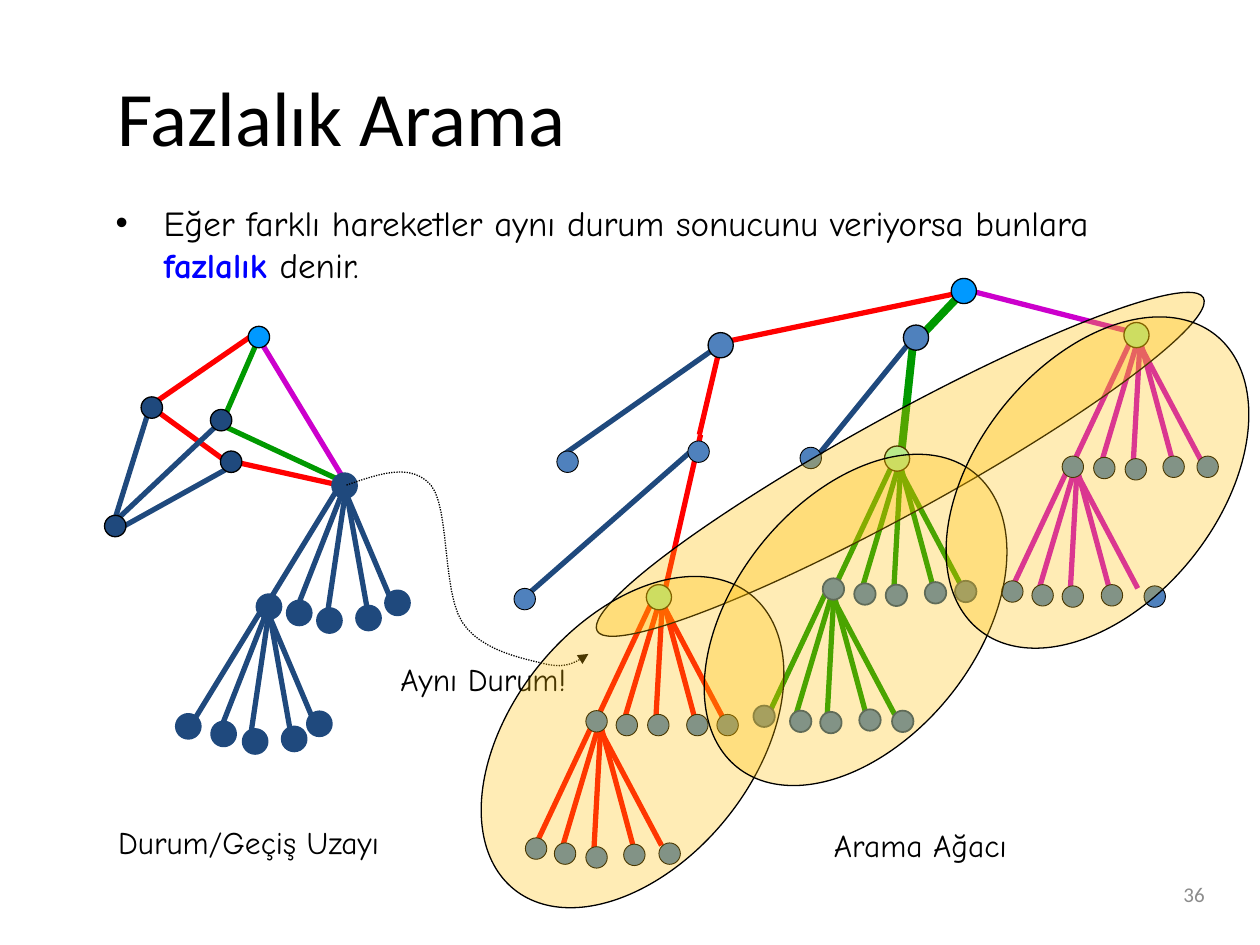
from lxml import etree
from pptx import Presentation
from pptx import util as u
from pptx.dml import color as col
from pptx.enum import dml, shapes, text
from pptx.oxml import ns

NAVY, BLUE, SKY, MINT = "1F497D", "4F81BD", "0099FF", "99FFCC"
RED, GREEN, PINK, BLACK = "FF0000", "009900", "CC00CC", "000000"
HAND = "Comic Neue"

TREE = [(0.05, 0.02, -0.01, 1.1), (0.04, 0.02, -0.27, 1.06), (0, 0, -0.48, 1.02),
        (0, 0, 0.53, 1), (0.04, 0.02, 0.32, 1.06)]
STATE = [(0.06, 0.02, -0.1, 1.1), (0.05, 0.02, -0.35, 1.04), (0.02, 0, -0.58, 0.98),
         (0.02, 0, 0.46, 1.04), (0.05, 0.02, 0.24, 1.09)]

FANS = [(9, 2.65, PINK, TREE), (8.5, 3.67, PINK, TREE), (7.1, 3.65, GREEN, TREE),
        (6.57, 4.67, GREEN, TREE), (5.21, 4.7, RED, TREE), (4.72, 5.71, RED, TREE),
        (2.69, 3.83, NAVY, STATE), (2.08, 4.8, NAVY, STATE)]

EDGES = [
    (RED, 3, [(5.56, 3.45, 5.27, 4.72), (2.02, 2.65, 1.25, 3.18), (1.2, 3.23, 1.82, 3.68),
              (2.78, 3.87, 1.88, 3.67), (7.73, 2.3, 5.72, 2.72), (5.55, 3.45, 5.72, 2.73)]),
    (GREEN, 4.5, [(7.61, 2.35, 7.24, 2.74), (7.26, 2.6, 7.15, 3.63)]),
    (GREEN, 3, [(1.73, 3.36, 2.76, 3.84), (2.06, 2.67, 1.79, 3.29)]),
    (PINK, 3, [(7.67, 2.3, 9.08, 2.66), (2.05, 2.68, 2.77, 3.87)]),
    (NAVY, 3, [(7.25, 2.68, 6.43, 3.69), (1.19, 3.23, 0.89, 4.19), (1.84, 3.7, 0.94, 4.2),
               (1.76, 3.34, 0.89, 4.16), (5.52, 3.55, 4.14, 4.76), (5.71, 2.74, 4.47, 3.61)]),
]

NODES = [
    (0.17, BLUE, BLACK, 0.5, [
        (9.5, 3.62), (9.23, 3.62), (8.93, 3.64), (8.68, 3.63), (8.43, 3.62),
        (9.08, 4.65), (8.74, 4.64), (8.43, 4.65), (8.19, 4.64), (7.95, 4.61),
        (5.69, 5.67), (5.45, 5.67), (5.14, 5.67), (4.89, 5.67), (4.65, 5.64),
        (5.23, 6.69), (4.95, 6.7), (4.65, 6.72), (4.4, 6.69), (4.17, 6.65),
        (6.35, 3.55), (4.08, 4.67), (4.42, 3.58), (5.46, 3.5)]),
    (0.17, BLUE, NAVY, 1, [
        (7.58, 4.61), (7.34, 4.62), (7.03, 4.64), (6.78, 4.63), (6.53, 4.59),
        (7.08, 5.64), (6.82, 5.63), (6.51, 5.65), (6.27, 5.64), (5.98, 5.6)]),
    (0.17, NAVY, NAVY, 3, [
        (3.07, 4.7), (2.84, 4.82), (2.53, 4.84), (2.29, 4.78), (2.05, 4.73),
        (2.45, 5.66), (2.25, 5.78), (1.94, 5.8), (1.69, 5.74), (1.41, 5.68), (2.65, 3.77)]),
    (0.17, NAVY, BLACK, 0.75, [(1.12, 3.15), (0.83, 4.09), (1.75, 3.58), (1.67, 3.25)]),
    (0.17, SKY, BLACK, 0.75, [(1.97, 2.59)]),
    (0.2, MINT, BLACK, 0.75, [(8.92, 2.56), (7.02, 3.54), (5.13, 4.64)]),
    (0.2, BLUE, BLACK, 0.75, [(7.17, 2.58), (5.62, 2.64)]),
    (0.2, SKY, BLACK, 0.75, [(7.55, 2.21)]),
]

CURVE = [(2.75, 3.85), (3.01, 3.76), (3.26, 3.67), (3.42, 3.85), (3.57, 4.03),
         (3.51, 4.7), (3.67, 4.94), (3.82, 5.17), (4.17, 5.23), (4.33, 5.27),
         (4.5, 5.31), (4.58, 5.25), (4.67, 5.19)]

ZONES = [(4.4, 3.3, 5.49, 0.77, 151.2, 32), (4.06, 4.39, 1.92, 3, 38.8, 29),
         (5.83, 3.42, 1.92, 3, 38.8, 29), (7.75, 2.33, 1.92, 3, 38.8, 29)]


def rgb(code):
    return col.RGBColor.from_string(code)


def bezier(pts, steps=12):
    out = [pts[0]]
    for i in range(0, len(pts) - 1, 3):
        a, b, c, d = pts[i:i + 4]
        for n in range(1, steps + 1):
            t = n / steps
            s = 1 - t
            out.append(tuple(s**3 * p + 3 * s * s * t * q + 3 * s * t * t * r + t**3 * v
                             for p, q, r, v in zip(a, b, c, d)))
    return out


class Deck:
    def __init__(self, font):
        self.font = font
        self.prs = Presentation()
        self.prs.slide_width, self.prs.slide_height = u.Inches(10), u.Inches(7.5)
        self.slide = self.prs.slides.add_slide(self.prs.slide_layouts[5])
        self.items = self.slide.shapes

    def run(self, par, words, size, color=BLACK, bold=False, font=None):
        run = par.add_run()
        run.text = words
        run.font.name, run.font.size, run.font.bold = font or self.font, u.Pt(size), bold
        run.font.color.rgb = rgb(color)

    def title(self, words, *box):
        item = self.items.title
        item.left, item.top, item.width, item.height = map(u.Inches, box)
        item.text_frame.vertical_anchor = text.MSO_ANCHOR.MIDDLE
        par = item.text_frame.paragraphs[0]
        par.alignment = text.PP_ALIGN.LEFT
        self.run(par, words, 44, font="Calibri")

    def box(self, *box):
        frame = self.items.add_textbox(*map(u.Inches, box)).text_frame
        frame.word_wrap = True
        return frame

    def label(self, words, *box):
        frame = self.box(*box)
        frame.word_wrap = False
        self.run(frame.paragraphs[0], words, 18)

    def bullet(self, par, first):
        par.alignment = text.PP_ALIGN.JUSTIFY
        props = par._p.get_or_add_pPr()
        props.set("marL", str(u.Inches(0.38)))
        props.set("indent", str(u.Inches(-0.38 if first else 0)))
        if first:
            etree.SubElement(props, ns.qn("a:buFont"), typeface="Arial")
            etree.SubElement(props, ns.qn("a:buChar"), char="•")
        else:
            etree.SubElement(props, ns.qn("a:buNone"))

    def edge(self, color, width, *ends):
        line = self.items.add_connector(shapes.MSO_CONNECTOR.STRAIGHT, *map(u.Inches, ends))
        line.line.color.rgb, line.line.width = rgb(color), u.Pt(width)
        etree.SubElement(line._element.spPr, ns.qn("a:effectLst"))

    def fan(self, x, y, color, rays):
        for a, b, c, d in rays:
            self.edge(color, 3, x + a, y + b, x + c, y + d)

    def oval(self, box, fill, line, width, turn=0, alpha=None):
        item = self.items.add_shape(shapes.MSO_SHAPE.OVAL, *map(u.Inches, box))
        item.shadow.inherit = False
        item.rotation = turn
        item.fill.solid()
        item.fill.fore_color.rgb = rgb(fill)
        item.line.color.rgb, item.line.width = rgb(line), u.Pt(width)
        if alpha:
            tint = item._element.spPr.find(ns.qn("a:solidFill"))[0]
            etree.SubElement(tint, ns.qn("a:alpha"), val=str(alpha * 1000))

    def arrow(self, pts):
        pts = [(u.Inches(x), u.Inches(y)) for x, y in bezier(pts)]
        pen = self.items.build_freeform(*pts[0], scale=1.0)
        pen.add_line_segments(pts[1:], close=False)
        item = pen.convert_to_shape()
        item.shadow.inherit = False
        item.fill.background()
        item.line.color.rgb, item.line.width = rgb(BLACK), u.Pt(0.75)
        item.line.dash_style = dml.MSO_LINE.ROUND_DOT
        etree.SubElement(item._element.spPr.find(ns.qn("a:ln")), ns.qn("a:tailEnd"), type="triangle")


def main():
    deck = Deck(HAND)
    deck.title("Fazlalık Arama", 0.83, 0.29, 8.83, 1.25)

    par = deck.box(7.33, 6.95, 2.33, 0.4).paragraphs[0]
    par.alignment = text.PP_ALIGN.RIGHT
    deck.run(par, "36", 12, "8C8C8C", font="Calibri")

    body = deck.box(0.82, 1.55, 8.71, 0.87)
    par = body.paragraphs[0]
    deck.bullet(par, True)
    deck.run(par, "Eğer farklı hareketler aynı durum sonucunu veriyorsa bunlara ", 20)
    par = body.add_paragraph()
    deck.bullet(par, False)
    deck.run(par, "fazlalık ", 20, "0000FF", True)
    deck.run(par, "denir.", 20)

    for fan in FANS:
        deck.fan(*fan)
    for color, width, lines in EDGES:
        for ends in lines:
            deck.edge(color, width, *ends)
    for size, fill, line, width, spots in NODES:
        for x, y in spots:
            deck.oval((x, y, size, size), fill, line, width)

    deck.label("Durum/Geçiş Uzayı", 0.84, 6.48, 2.43, 0.4)
    deck.label("Arama Ağacı", 6.52, 6.51, 1.69, 0.4)
    deck.arrow(CURVE)
    deck.label("Aynı Durum!", 3.08, 5.19, 1.6, 0.4)
    for *box, turn, alpha in ZONES:
        deck.oval(box, "FFC000", BLACK, 0.75, turn, alpha)
    deck.prs.save("out.pptx")


if __name__ == "__main__":
    main()
